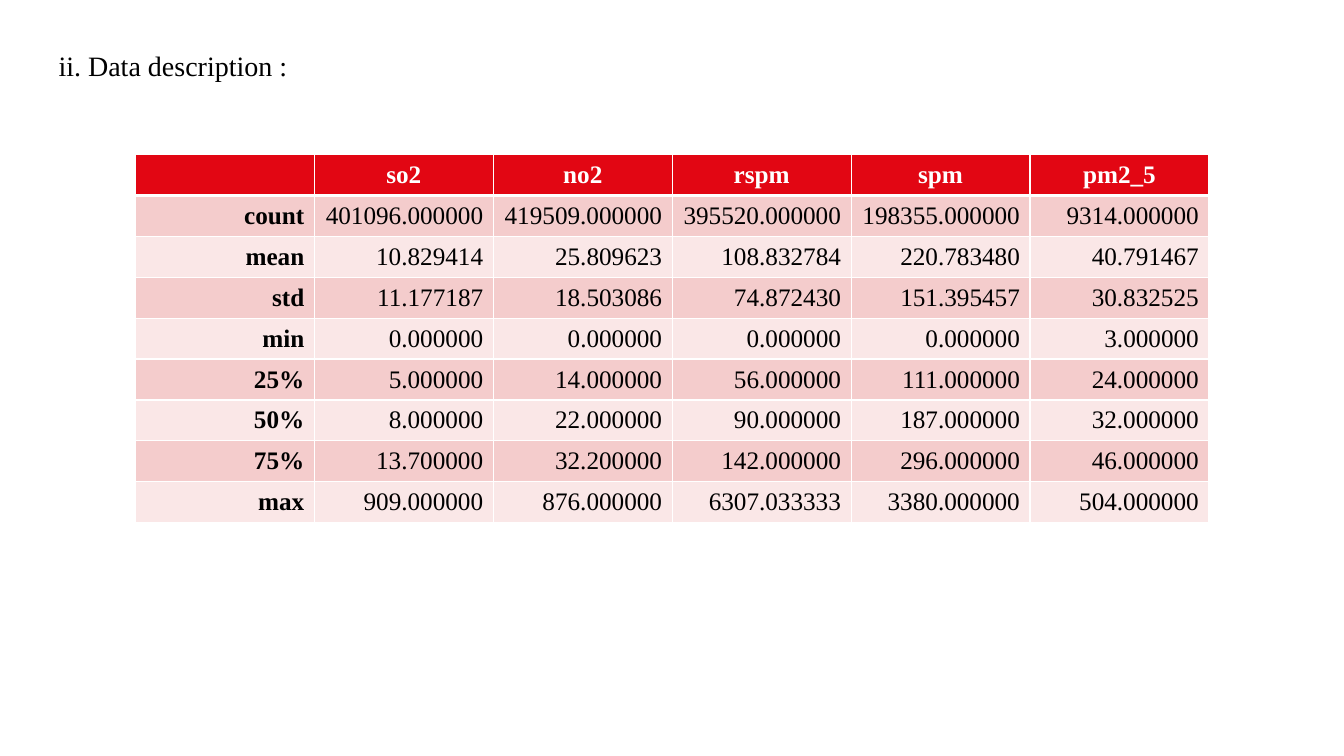
from dataclasses import dataclass

from lxml import etree
from pptx import Presentation
from pptx.dml.color import RGBColor
from pptx.enum.text import MSO_ANCHOR, MSO_AUTO_SIZE, PP_ALIGN
from pptx.oxml.ns import qn
from pptx.util import Pt

LEFT, CENTER, RIGHT = PP_ALIGN.LEFT, PP_ALIGN.CENTER, PP_ALIGN.RIGHT
TOP, MIDDLE = MSO_ANCHOR.TOP, MSO_ANCHOR.MIDDLE
FIT_SHAPE = MSO_AUTO_SIZE.SHAPE_TO_FIT_TEXT
TITLE_ONLY = 5

TITLE = "ii. Data description :"
HEADER = ("", "so2", "no2", "rspm", "spm", "pm2_5")
STATISTICS = [
    ("count", "401096.000000", "419509.000000", "395520.000000", "198355.000000", "9314.000000"),
    ("mean", "10.829414", "25.809623", "108.832784", "220.783480", "40.791467"),
    ("std", "11.177187", "18.503086", "74.872430", "151.395457", "30.832525"),
    ("min", "0.000000", "0.000000", "0.000000", "0.000000", "3.000000"),
    ("25%", "5.000000", "14.000000", "56.000000", "111.000000", "24.000000"),
    ("50%", "8.000000", "22.000000", "90.000000", "187.000000", "32.000000"),
    ("75%", "13.700000", "32.200000", "142.000000", "296.000000", "46.000000"),
    ("max", "909.000000", "876.000000", "6307.033333", "3380.000000", "504.000000"),
]


@dataclass(frozen=True)
class Theme:
    font: str = "Times New Roman"
    title_size: int = 20
    table_size: int = 18
    text: str = "000000"
    header_text: str = "FFFFFF"
    header_fill: str = "E20613"
    bands: tuple = ("F4CCCC", "FAE7E7")
    border: str = "FFFFFF"
    border_width: int = 1
    header_rule: int = 3


THEME = Theme()
SLIDE_SIZE = (960, 540)
TITLE_BOX = (34.6, 31, 430.6, 31.5)
TABLE_LEFT, TABLE_TOP = 96.8, 110.5
COL_WIDTH, ROW_HEIGHT = 127.8, 29.2


def add_text(p, text, size, color, align, bold=False):
    p.alignment = align
    r = p.add_run()
    r.text = text
    r.font.name, r.font.size, r.font.bold = THEME.font, Pt(size), bold
    r.font.color.rgb = RGBColor.from_string(color)


def set_borders(cell, top, bottom):
    tc_pr = cell._tc.get_or_add_tcPr()
    side = THEME.border_width
    for tag, width in (("lnL", side), ("lnR", side), ("lnT", top), ("lnB", bottom)):
        ln = etree.SubElement(tc_pr, qn(f"a:{tag}"), w=str(Pt(width)))
        fill = etree.SubElement(ln, qn("a:solidFill"))
        etree.SubElement(fill, qn("a:srgbClr"), val=THEME.border)


def add_title(s):
    title = s.shapes.title
    title.left, title.top, title.width, title.height = map(Pt, TITLE_BOX)
    tf = title.text_frame
    tf.word_wrap, tf.auto_size, tf.vertical_anchor = True, FIT_SHAPE, TOP
    p = tf.paragraphs[0]
    p.line_spacing = 1.0
    add_text(p, TITLE, THEME.title_size, THEME.text, LEFT)


def add_statistics(s):
    rows = [HEADER, *STATISTICS]
    table = s.shapes.add_table(
        len(rows), len(HEADER), Pt(TABLE_LEFT), Pt(TABLE_TOP),
        Pt(COL_WIDTH * len(HEADER)), Pt(ROW_HEIGHT * len(rows))).table
    for column in table.columns:
        column.width = Pt(COL_WIDTH)
    for i, values in enumerate(rows):
        table.rows[i].height = Pt(ROW_HEIGHT)
        is_header = i == 0
        fill = THEME.header_fill if is_header else THEME.bands[(i - 1) % 2]
        color = THEME.header_text if is_header else THEME.text
        align = CENTER if is_header else RIGHT
        top = THEME.header_rule if i == 1 else THEME.border_width
        bottom = THEME.header_rule if is_header else THEME.border_width
        for j, value in enumerate(values):
            cell = table.cell(i, j)
            cell.vertical_anchor = MIDDLE
            set_borders(cell, top, bottom)
            cell.fill.solid()
            cell.fill.fore_color.rgb = RGBColor.from_string(fill)
            if value:
                add_text(cell.text_frame.paragraphs[0], value, THEME.table_size,
                         color, align, bold=is_header or j == 0)


def main():
    prs = Presentation()
    prs.slide_width, prs.slide_height = map(Pt, SLIDE_SIZE)
    s = prs.slides.add_slide(prs.slide_layouts[TITLE_ONLY])
    add_title(s)
    add_statistics(s)
    prs.save("out.pptx")


if __name__ == "__main__":
    main()
